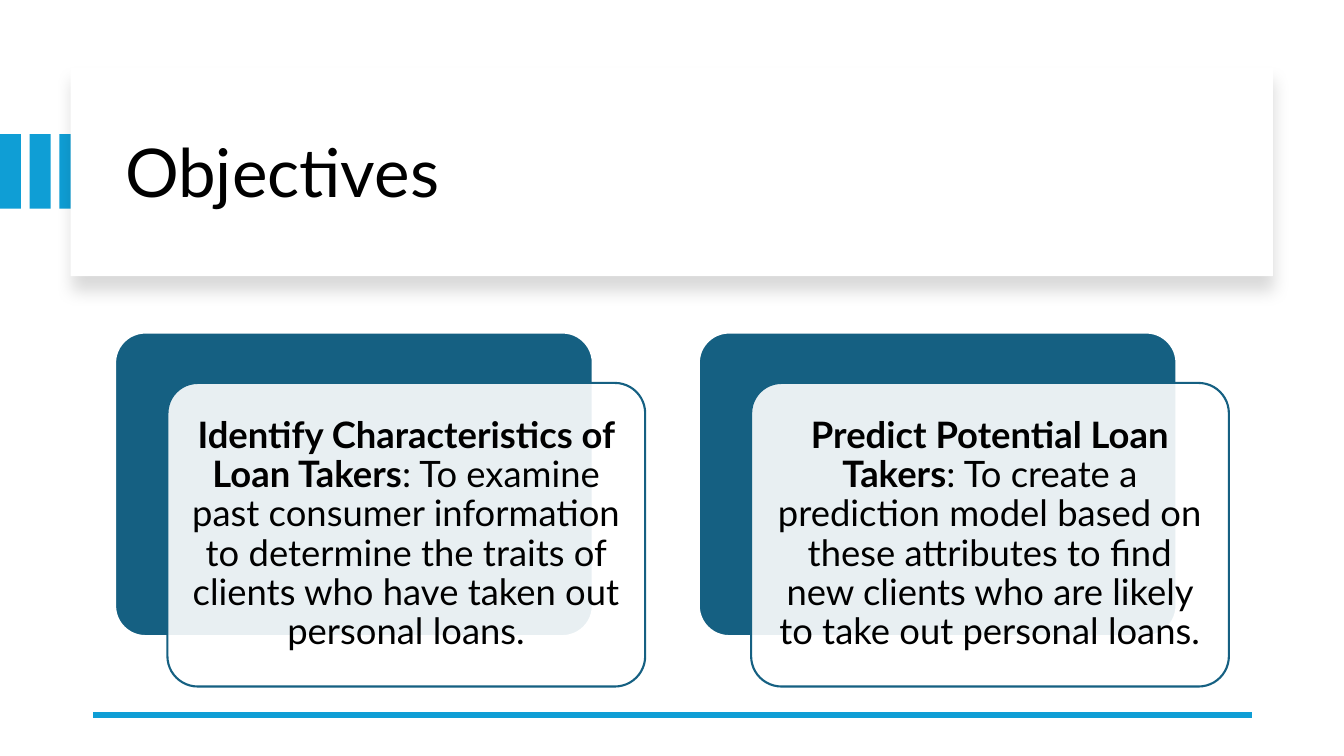
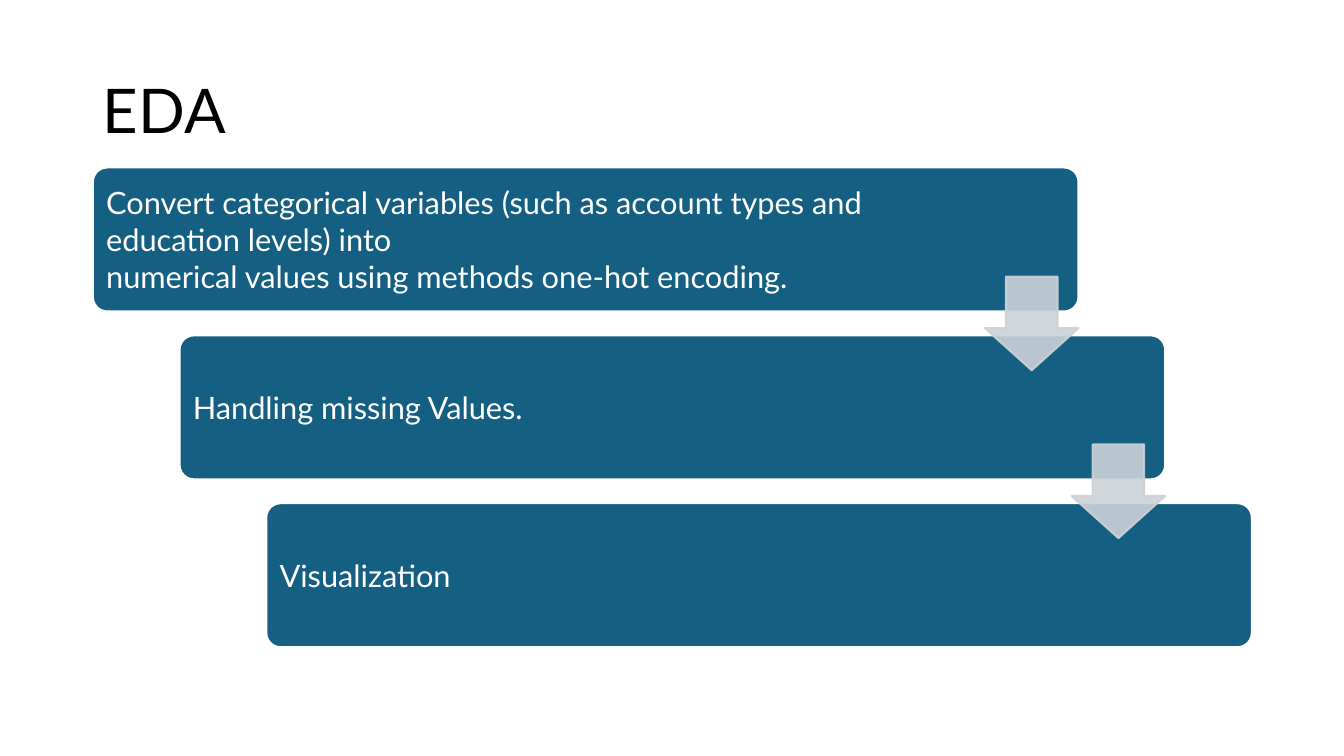
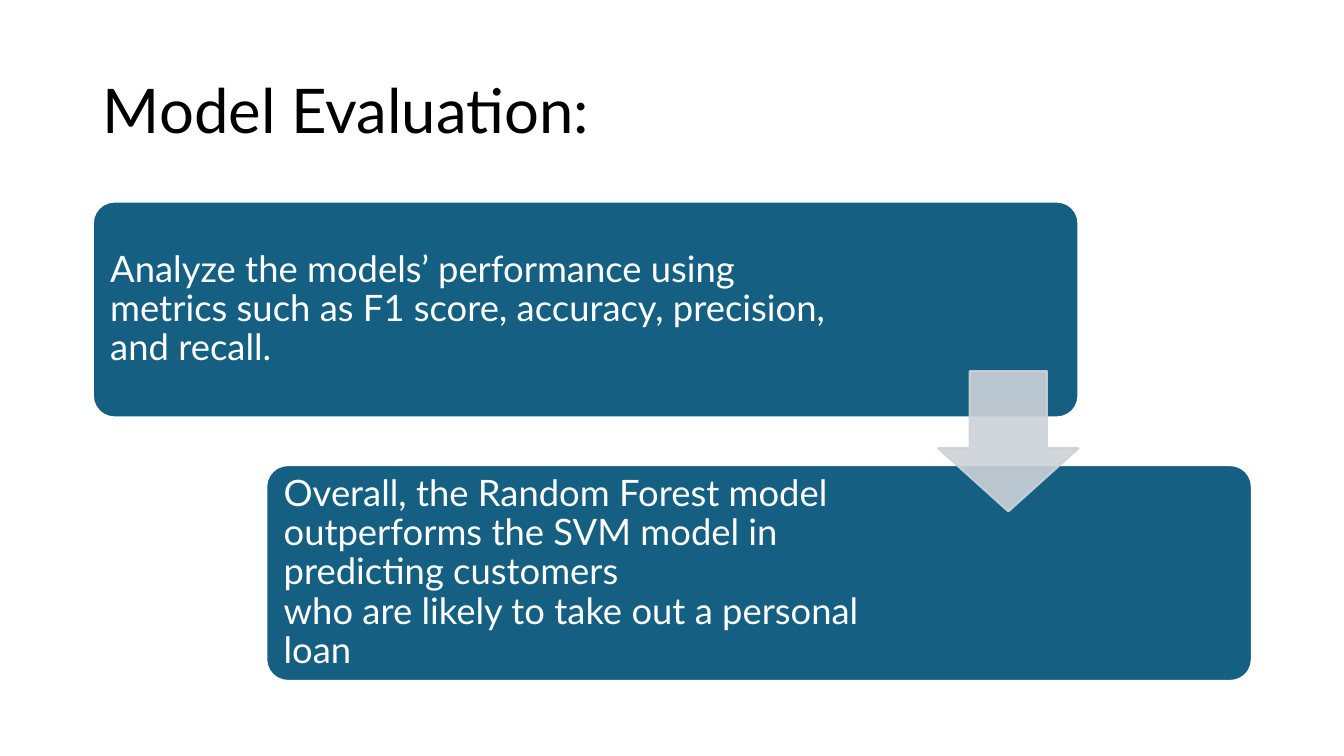
"""Build three slides on loan objectives, data exploration and model evaluation."""
from lxml import etree
from pptx import Presentation
from pptx.dml.color import RGBColor
from pptx.enum.shapes import MSO_CONNECTOR, MSO_SHAPE
from pptx.enum.text import MSO_ANCHOR, MSO_AUTO_SIZE, PP_ALIGN
from pptx.oxml.ns import qn
from pptx.util import Cm, Pt

RECT, ROUND, DOWN = MSO_SHAPE.RECTANGLE, MSO_SHAPE.ROUNDED_RECTANGLE, MSO_SHAPE.DOWN_ARROW
STRAIGHT = MSO_CONNECTOR.STRAIGHT
LEFT, CENTER = PP_ALIGN.LEFT, PP_ALIGN.CENTER
MIDDLE = MSO_ANCHOR.MIDDLE
NO_FIT = MSO_AUTO_SIZE.NONE

FONT = "Lato"
BLACK = RGBColor(0x00, 0x00, 0x00)
WHITE = RGBColor(0xFF, 0xFF, 0xFF)
BLUE = RGBColor(0x0F, 0x9E, 0xD5)
TEAL = RGBColor(0x15, 0x60, 0x82)
GRAY = RGBColor(0xCC, 0xD2, 0xD8)


def add_box(s, kind, x, y, w, h, fill, line=None, alpha=None):
    sp = s.shapes.add_shape(kind, Cm(x), Cm(y), Cm(w), Cm(h))
    sp.shadow.inherit = False
    sp.fill.solid()
    sp.fill.fore_color.rgb = fill
    if line is None:
        sp.line.fill.background()
    else:
        sp.line.color.rgb = line
        sp.line.width = Pt(1.5)
    if kind == ROUND:
        sp.adjustments[0] = 0.1
    if alpha:
        for clr in sp.element.spPr.iter(qn("a:srgbClr")):
            if fill == line or clr.getparent().getparent().tag == qn("p:spPr"):
                etree.SubElement(clr, qn("a:alpha"), val=str(alpha * 1000))
    return sp


def format_text(sp, size, color, align=LEFT, spacing=0.9):
    tf = sp.text_frame
    tf.word_wrap = True
    tf.auto_size = NO_FIT
    tf.vertical_anchor = MIDDLE
    for p in tf.paragraphs:
        p.alignment = align
        p.line_spacing = spacing
        for r in p.runs:
            r.font.name = FONT
            r.font.size = Pt(size)
            r.font.color.rgb = color


prs = Presentation()
prs.slide_width, prs.slide_height = Cm(33.87), Cm(19.05)

slides = []
for text, size, box in [
    ("Objectives", 48, (2.9, 2.26, 28.27, 4.32)),
    ("EDA", 44, (2.34, 1.02, 29.21, 3.68)),
    ("Model Evaluation:", 44, (2.34, 1.02, 29.21, 3.68)),
]:
    s = prs.slides.add_slide(prs.slide_layouts[5])
    title = s.shapes.title
    title.left, title.top, title.width, title.height = [Cm(v) for v in box]
    title.text_frame.text = text
    format_text(title, size, BLACK)
    slides.append(s)

s = slides[0]
for i in range(3):
    add_box(s, RECT, 0.75 * i, 3.38, 0.53, 1.88, BLUE)
panel = add_box(s, RECT, 1.78, 1.7, 30.3, 5.26, WHITE)
effects = panel.element.spPr.find(qn("a:effectLst"))
shadow = etree.SubElement(effects, qn("a:outerShdw"), blurRad=str(Pt(11)), dist=str(Pt(10)),
                          dir="5400000", algn="t", rotWithShape="0")
clr = etree.SubElement(shadow, qn("a:srgbClr"), val="000000")
etree.SubElement(clr, qn("a:alpha"), val="15000")
panel.element.addnext(s.shapes.title.element)

rule = s.shapes.add_connector(STRAIGHT, Cm(31.55), Cm(18.01), Cm(2.34), Cm(18.01))
rule.line.color.rgb = BLUE
rule.line.width = Pt(4.5)
etree.SubElement(rule.element.spPr, qn("a:effectLst"))

objectives = [
    ("Identify Characteristics of Loan Takers",
     ": To examine past consumer information to determine the traits of clients "
     "who have taken out personal loans."),
    ("Predict Potential Loan Takers",
     ": To create a prediction model based on these attributes to find new clients "
     "who are likely to take out personal loans."),
]
for i, (heading, detail) in enumerate(objectives):
    x, y = 2.9 + 14.71 * i, 8.38
    add_box(s, ROUND, x, y, 12.04, 7.65, TEAL, WHITE)
    card = add_box(s, ROUND, x + 1.32, y + 1.27, 12.04, 7.65, WHITE, TEAL, 90)
    tf = card.text_frame
    tf.margin_left = tf.margin_right = tf.margin_top = tf.margin_bottom = Cm(0.28)
    p = tf.paragraphs[0]
    p.text = heading
    p.runs[0].font.bold = True
    p.add_run().text = detail
    format_text(card, 26, BLACK, CENTER)

eda_steps = [
    ("Convert categorical variables (such as account types and education levels) into\v"
     "numerical values using methods one-hot encoding.", 4.8),
    ("Handling missing Values.", 4.8),
    ("Visualization", 4.8),
]
evaluation_steps = [
    ("Analyze the models’ performance using metrics such as F1 score, accuracy, "
     "precision, and recall.", 5.61),
    ("Overall, the Random Forest model outperforms the SVM model in predicting customers\v"
     "who are likely to take out a personal loan", 8.23),
]
left, full_width, width = 2.34, 29.21, 24.84
for s, steps, top, height, pitch, size, spacing, margin in [
    (slides[1], eda_steps, 4.22, 3.63, 4.23, 22, 1.0, 0.23),
    (slides[2], evaluation_steps, 5.08, 5.44, 6.64, 26, 0.9, 0.28),
]:
    shift = (full_width - width) / (len(steps) - 1)
    for i, (text, right_margin) in enumerate(steps):
        step = add_box(s, ROUND, left + shift * i, top + pitch * i, width, height, TEAL, WHITE)
        tf = step.text_frame
        tf.margin_left = tf.margin_top = tf.margin_bottom = Cm(margin)
        tf.margin_right = Cm(right_margin)
        tf.paragraphs[0].text = text
        format_text(step, size, WHITE, LEFT, spacing)
    side = 0.65 * height
    for i in range(len(steps) - 1):
        x = left + shift * i + width - side
        y = top + pitch * i + (height + pitch - side) / 2
        arrow = add_box(s, DOWN, x, y, side, side, GRAY, GRAY, 90)
        arrow.adjustments[0], arrow.adjustments[1] = 0.55, 0.45

prs.save("out.pptx")
